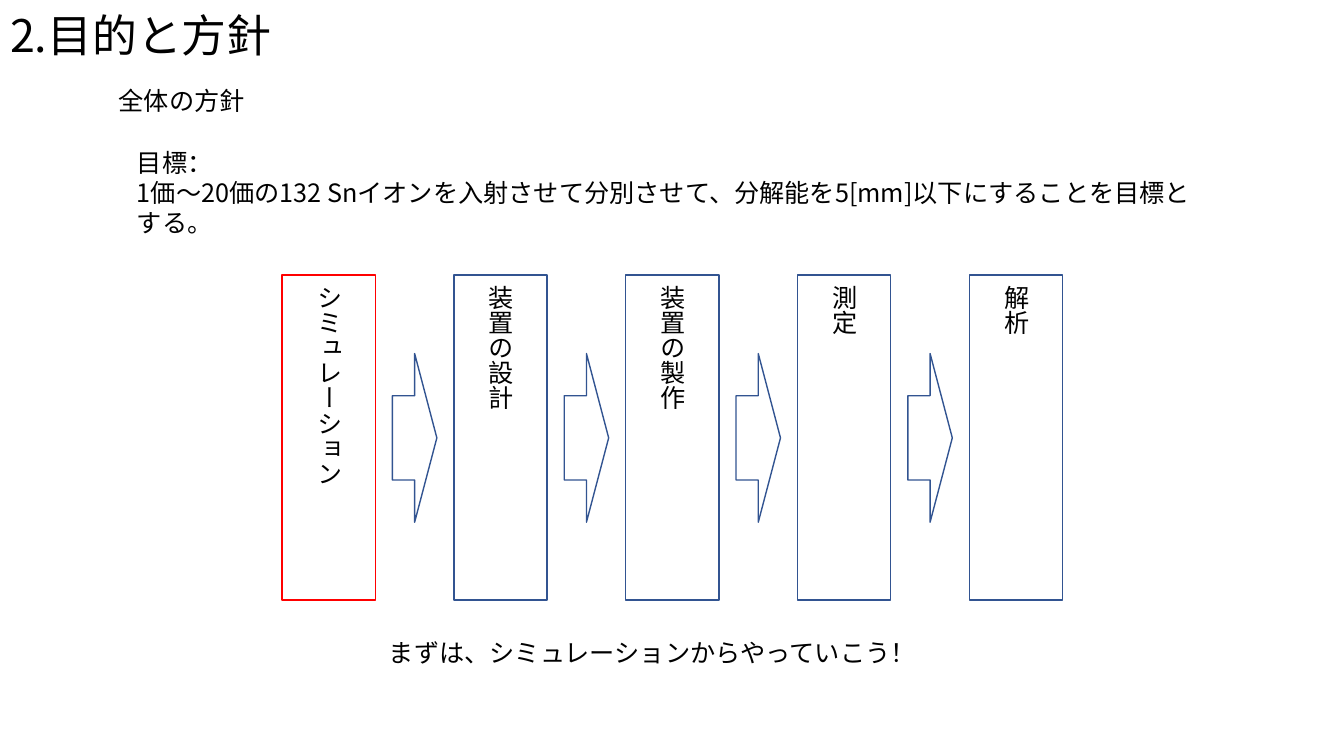
from lxml.etree import SubElement
from pptx import Presentation
from pptx.dml.color import RGBColor
from pptx.enum.shapes import MSO_SHAPE
from pptx.enum.text import MSO_ANCHOR, MSO_AUTO_SIZE, PP_ALIGN
from pptx.oxml.ns import qn
from pptx.util import Cm, Pt

BLACK = RGBColor(0x00, 0x00, 0x00)
RED = RGBColor(0xFF, 0x00, 0x00)
BLUE = RGBColor(0x32, 0x54, 0x91)

STEPS = ["シミュレーション", "装置の設計", "装置の製作", "測定", "解析"]
FLOW_LEFT, STEP_PITCH = 7.11, 4.33
STEP_TOP, STEP_WIDTH, STEP_HEIGHT = 6.93, 2.35, 8.19
ARROW_OFFSET, ARROW_TOP, ARROW_WIDTH, ARROW_HEIGHT = 2.78, 8.91, 1.12, 4.25


class SlideBuilder:
    font_name = "Noto Sans CJK JP"
    body_size = 18
    title_size = 32

    def __init__(self, slide):
        self.slide = slide

    def add_text(self, paragraph, text, size=body_size):
        paragraph.alignment = PP_ALIGN.LEFT
        run = paragraph.add_run()
        run.text = text
        run.font.size = Pt(size)
        run.font.color.rgb = BLACK
        run.font.name = self.font_name
        properties = paragraph.runs[-1]._r.get_or_add_rPr()
        SubElement(properties, qn("a:ea")).set("typeface", self.font_name)

    def title(self, text, left, top, width, height):
        heading = self.slide.shapes.title
        heading.left, heading.top = Cm(left), Cm(top)
        heading.width, heading.height = Cm(width), Cm(height)
        frame = heading.text_frame
        frame.auto_size = MSO_AUTO_SIZE.NONE
        frame.vertical_anchor = MSO_ANCHOR.MIDDLE
        frame.paragraphs[0].line_spacing = 0.9
        self.add_text(frame.paragraphs[0], text, self.title_size)

    def note(self, lines, left, top, width, height, wrap=False):
        box = self.slide.shapes.add_textbox(Cm(left), Cm(top), Cm(width), Cm(height))
        frame = box.text_frame
        frame.word_wrap = wrap
        frame.auto_size = MSO_AUTO_SIZE.SHAPE_TO_FIT_TEXT
        for index, line in enumerate(lines):
            paragraph = frame.add_paragraph() if index else frame.paragraphs[0]
            self.add_text(paragraph, line)

    def outline(self, group, preset, left, top, width, height, color):
        shape = group.shapes.add_shape(preset, Cm(left), Cm(top), Cm(width), Cm(height))
        shape.shadow.inherit = False
        shape.fill.background()
        shape.line.color.rgb = color
        shape.line.width = Pt(1)
        return shape

    def step(self, group, text, left, color):
        box = self.outline(group, MSO_SHAPE.FLOWCHART_PROCESS, left, STEP_TOP,
                           STEP_WIDTH, STEP_HEIGHT, color)
        box.text_frame.vertical_anchor = MSO_ANCHOR.MIDDLE
        box.element.txBody.bodyPr.set("vert", "eaVert")
        self.add_text(box.text_frame.paragraphs[0], text)

    def flow(self, steps):
        group = self.slide.shapes.add_group_shape()
        for index, text in enumerate(steps):
            left = FLOW_LEFT + index * STEP_PITCH
            self.step(group, text, left, BLUE if index else RED)
            if index < len(steps) - 1:
                self.outline(group, MSO_SHAPE.RIGHT_ARROW, left + ARROW_OFFSET,
                             ARROW_TOP, ARROW_WIDTH, ARROW_HEIGHT, BLUE)


def main():
    presentation = Presentation()
    presentation.slide_width, presentation.slide_height = Cm(33.87), Cm(19.05)
    builder = SlideBuilder(presentation.slides.add_slide(presentation.slide_layouts[5]))
    builder.title("2.目的と方針", 0, 0.05, 29.21, 1.83)
    builder.flow(STEPS)
    builder.note(["全体の方針"], 2.74, 2.03, 3.71, 1.02)
    builder.note(["まずは、シミュレーションからやっていこう！"], 9.55, 15.93, 13.97, 1.02)
    builder.note(
        ["目標：",
         "1価～20価の132 Snイオンを入射させて分別させて、分解能を5[mm]以下にすることを目標とする。"],
        3.2, 3.58, 27.48, 2.57, wrap=True)
    presentation.save("out.pptx")


if __name__ == "__main__":
    main()
